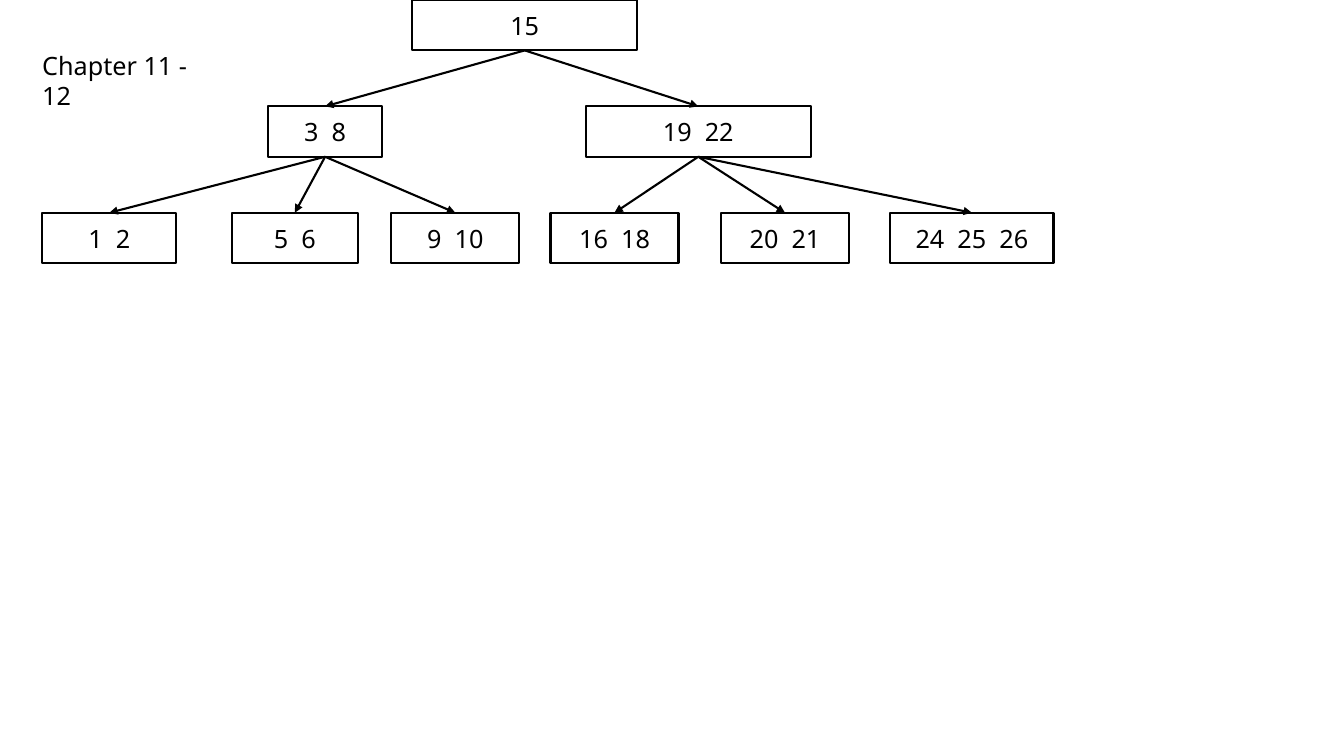
from dataclasses import dataclass

from lxml.etree import SubElement
from pptx import Presentation
from pptx.dml.color import RGBColor
from pptx.enum.shapes import MSO_CONNECTOR, MSO_SHAPE
from pptx.enum.text import MSO_ANCHOR, PP_ALIGN
from pptx.oxml.ns import qn
from pptx.util import Inches, Pt


@dataclass(frozen=True)
class Theme:
    ink: RGBColor = RGBColor(0, 0, 0)
    paper: RGBColor = RGBColor(255, 255, 255)
    font: str = "Noto Sans"
    size: Pt = Pt(18)
    line: Pt = Pt(1.5)


THEME = Theme()
WIDE, HIGH = Inches(13.33), Inches(7.5)
STEP, TALL = 14.07, 6.67  # level pitch and node height, % of slide height
BOTTOM, TOP = 2, 0  # connection sites of a rectangle

# Each node: keys, left and width in % of slide width, child nodes
TREE = ("15", 30.68, 16.73, [
    ("3  8", 19.95, 8.48, [
        ("1  2", 3.15, 9.98, []),
        ("5  6", 17.25, 9.38, []),
        ("9  10", 29.11, 9.53, []),
    ]),
    ("19  22", 43.59, 16.73, [
        ("16  18", 40.96, 9.53, []),
        ("20  21", 53.64, 9.53, []),
        ("24  25  26", 66.24, 12.15, []),
    ]),
])


def area(left, top, width, height):
    """Turn percentages of the slide into lengths."""
    return (int(WIDE * left / 100), int(HIGH * top / 100),
            int(WIDE * width / 100), int(HIGH * height / 100))


def write(frame, text, align):
    frame.word_wrap = True
    para = frame.paragraphs[0]
    para.alignment = align
    run = para.add_run()
    run.text = text
    run.font.name = THEME.font
    run.font.size = THEME.size
    run.font.color.rgb = THEME.ink


def label(slide, text, *place):
    box = slide.shapes.add_textbox(*area(*place))
    write(box.text_frame, text, PP_ALIGN.LEFT)


def stroke(line):
    line.color.rgb = THEME.ink
    line.width = THEME.line


def node(slide, text, left, top, width):
    box = slide.shapes.add_shape(MSO_SHAPE.RECTANGLE,
                                 *area(left, top, width, TALL))
    box.shadow.inherit = False
    box.fill.solid()
    box.fill.fore_color.rgb = THEME.paper
    stroke(box.line)
    box.text_frame.vertical_anchor = MSO_ANCHOR.MIDDLE
    write(box.text_frame, text, PP_ALIGN.CENTER)
    return box


def arrow(slide, start, end):
    link = slide.shapes.add_connector(MSO_CONNECTOR.STRAIGHT, 0, 0, 0, 0)
    link.begin_connect(start, BOTTOM)
    link.end_connect(end, TOP)
    stroke(link.line)
    # Arrowhead, and no shadow
    SubElement(link.line._get_or_add_ln(), qn("a:tailEnd"), type="triangle")
    SubElement(link._element.spPr, qn("a:effectLst"))


def grow(slide, branch, level=0):
    """Draw a node, then its children one level down."""
    keys, left, width, kids = branch
    box = node(slide, keys, left, level * STEP, width)
    for kid in kids:
        arrow(slide, box, grow(slide, kid, level + 1))
    return box


def main():
    deck = Presentation()
    deck.slide_width, deck.slide_height = WIDE, HIGH
    slide = deck.slides.add_slide(deck.slide_layouts[6])

    # Chapter and page label
    label(slide, "Chapter 11 - 12", 2.4, 6, 14.03, 5.33)

    # Search tree
    grow(slide, TREE)

    deck.save("out.pptx")


if __name__ == "__main__":
    main()
